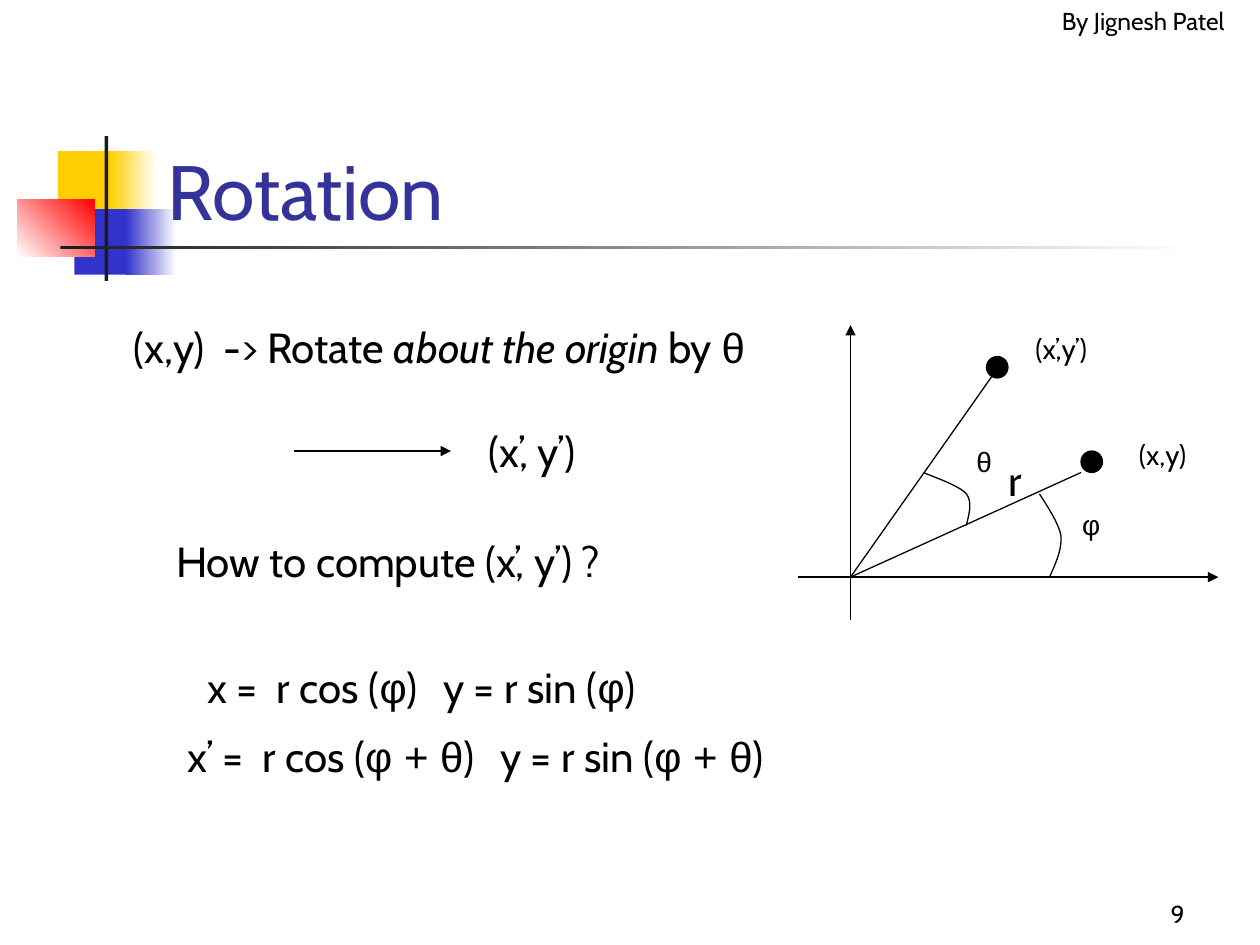
from pptx import Presentation
from pptx.dml.color import RGBColor
from pptx.enum.shapes import MSO_CONNECTOR as Conn, MSO_SHAPE as Shape
from pptx.enum.text import MSO_ANCHOR as Anchor, MSO_AUTO_SIZE as Auto, PP_ALIGN as Align
from pptx.oxml.ns import qn
from pptx.util import Emu, Pt
from lxml.etree import SubElement as Sub

SCALE = 9144  # 100 px to the inch
BLACK, WHITE, DARK = "000000", "FFFFFF", "1C1C1C"
GOLD, BLUE, RED, NAVY = "FFCF01", "3333CC", "FF0000", "333399"
TEXT, GREEK = "Cabin", "Arial"


def px(n):
    return Emu(round(n * SCALE))


def tint(target, color):
    target.rgb = RGBColor.from_string(color)


def block(slide, kind, x, y, w, h, color, fade=None, angle=0):
    """A filled shape; with fade, a gradient from color to fade."""
    shape = slide.shapes.add_shape(kind, px(x), px(y), px(w), px(h))
    shape.shadow.inherit = False
    shape.line.fill.background()
    if fade:
        shape.fill.gradient()
        shape.fill.gradient_angle = angle
        for stop, shade in zip(shape.fill.gradient_stops, (color, fade)):
            tint(stop.color, shade)
    else:
        shape.fill.solid()
        tint(shape.fill.fore_color, color)
    return shape


def ink(line):
    line.width = Pt(0.75)
    tint(line.color, BLACK)


def stroke(slide, x1, y1, x2, y2, arrow=False):
    line = slide.shapes.add_connector(Conn.STRAIGHT, px(x1), px(y1), px(x2), px(y2))
    ink(line.line)
    props = line._element.spPr
    if arrow:
        Sub(props.find(qn("a:ln")), qn("a:tailEnd"), type="triangle")
    Sub(props, qn("a:effectLst"))


def arc(slide, start, *curves):
    """An open outline through cubic curves, each (control, control, end)."""
    steps, dots = 12, []
    last = start
    for a, b, end in curves:
        for t in (i / steps for i in range(1, steps + 1)):
            s = 1 - t
            dots.append(tuple(
                px(s**3 * p + 3 * s * s * t * q + 3 * s * t * t * r + t**3 * e)
                for p, q, r, e in zip(last, a, b, end)))
        last = end
    pen = slide.shapes.build_freeform(px(start[0]), px(start[1]), scale=1.0)
    pen.add_line_segments(dots, close=False)
    shape = pen.convert_to_shape()
    shape.shadow.inherit = False
    shape.fill.background()
    ink(shape.line)


def label(slide, x, y, w, h, parts, size, color=BLACK, fit=True,
          anchor=Anchor.TOP, align=Align.LEFT, tab=None):
    """Text made of (words, font) parts; fit keeps it on one line."""
    frame = slide.shapes.add_textbox(px(x), px(y), px(w), px(h)).text_frame
    frame.word_wrap = not fit
    frame.auto_size = Auto.SHAPE_TO_FIT_TEXT if fit else Auto.NONE
    frame.vertical_anchor = anchor
    para = frame.paragraphs[0]
    para.alignment = align
    if tab:
        stops = Sub(para._p.get_or_add_pPr(), qn("a:tabLst"))
        Sub(stops, qn("a:tab"), pos=str(px(tab)), algn="l")
    for words, face in parts:
        run = para.add_run()
        run.text = words
        run.font.name = face
        run.font.size = Pt(size)
        tint(run.font.color, color)
    return para


def emblem(slide, x, y):
    """Overlapping squares with a cross of two bars."""
    rect = Shape.RECTANGLE
    block(slide, rect, x + 32, y + 12, 48, 52, GOLD)
    block(slide, rect, x + 74, y + 12, 36, 52, GOLD, WHITE)
    block(slide, rect, x + 45, y + 58, 46, 52, BLUE)
    block(slide, rect, x + 86, y + 58, 40, 52, BLUE, WHITE)
    block(slide, rect, x, y + 50, 61, 46, WHITE, RED, 45)
    block(slide, rect, x + 69, y, 3, 115, DARK)
    block(slide, rect, x + 34, y + 87, 900, 3, DARK, WHITE)


def graph(slide, x, y):
    """Axes, both points and both angles, measured from the origin."""
    # Axes
    stroke(slide, x - 42, y, x + 292, y, True)
    stroke(slide, x, y + 34, x, y - 200, True)
    # Points with their radii
    points = (((183, -83), (183, -100), (219, -116, 68), "(x,y)"),
              ((117, -166), (108, -175), (137, -200, 76), "(x’,y’)"))
    for tip, dot, (left, top, wide), name in points:
        stroke(slide, x, y, x + tip[0], y + tip[1])
        ink(block(slide, Shape.OVAL, x + dot[0], y + dot[1], 17, 17, BLACK).line)
        label(slide, x + left, y + top, wide, 37, [(name, TEXT)], 16)
    # Angles
    angles = (("θ", (90, -110), [(92, -41), (94, -50), (97, -59), (92, -66),
                                 (86, -73), (64, -80), (58, -83)]),
              ("φ", (174, -60), [(158, 0), (163, -11), (168, -22), (167, -33),
                                 (165, -44), (153, -61), (150, -66)]))
    for name, (left, top), route in angles:
        start, *rest = [(x + a, y + b) for a, b in route]
        arc(slide, start, rest[:3], rest[3:])
        label(slide, x + left, y + top, 31, 37, [(name, GREEK)], 16)
    label(slide, x + 116, y - 102, 34, 50, [("r", TEXT)], 24)


def task(slide, x, y):
    """What the rotation does, and the question."""
    para = label(slide, x, y, 562, 50, [
        ("(x,y)  -> Rotate ", TEXT), ("about the origin", TEXT),
        (" by ", TEXT), ("θ", GREEK)], 24)
    para.runs[1].font.italic = True
    stroke(slide, x + 137, y + 108, x + 262, y + 108, True)
    label(slide, x + 282, y + 83, 104, 50, [("(x’, y’)", TEXT)], 24)
    label(slide, x + 34, y + 170, 395, 50, [("How to compute (x’, y’) ?", TEXT)], 24)


def sums(slide, x, y):
    """The polar form of both points."""
    rows = ((16, 0, 393, "x", "φ", 187), (0, 55, 539, "x’", "φ + θ", 248))
    for left, top, wide, name, angle, tab in rows:
        label(slide, x + left, y + top, wide, 50, [
            (f"{name} =  r cos (", TEXT), (angle, GREEK), (")\ty = r sin (", TEXT),
            (angle, GREEK), (")", TEXT)], 24, tab=tab)


def main():
    deck = Presentation()
    deck.slide_width, deck.slide_height = px(1000), px(750)
    slide = deck.slides.add_slide(deck.slide_layouts[6])
    emblem(slide, 14, 108)
    # Author, title and page number
    label(slide, 833, 0, 167, 50, [("By Jignesh Patel", TEXT)], 14, fit=False)
    label(slide, 123, 67, 852, 125, [("Rotation", TEXT)], 44, NAVY,
          fit=False, anchor=Anchor.BOTTOM)
    label(slide, 742, 692, 208, 50, [("9", TEXT)], 14, fit=False,
          anchor=Anchor.BOTTOM, align=Align.RIGHT)
    # Body
    graph(slide, 675, 458)
    task(slide, 96, 250)
    sums(slide, 139, 520)
    deck.save("out.pptx")


if __name__ == "__main__":
    main()
